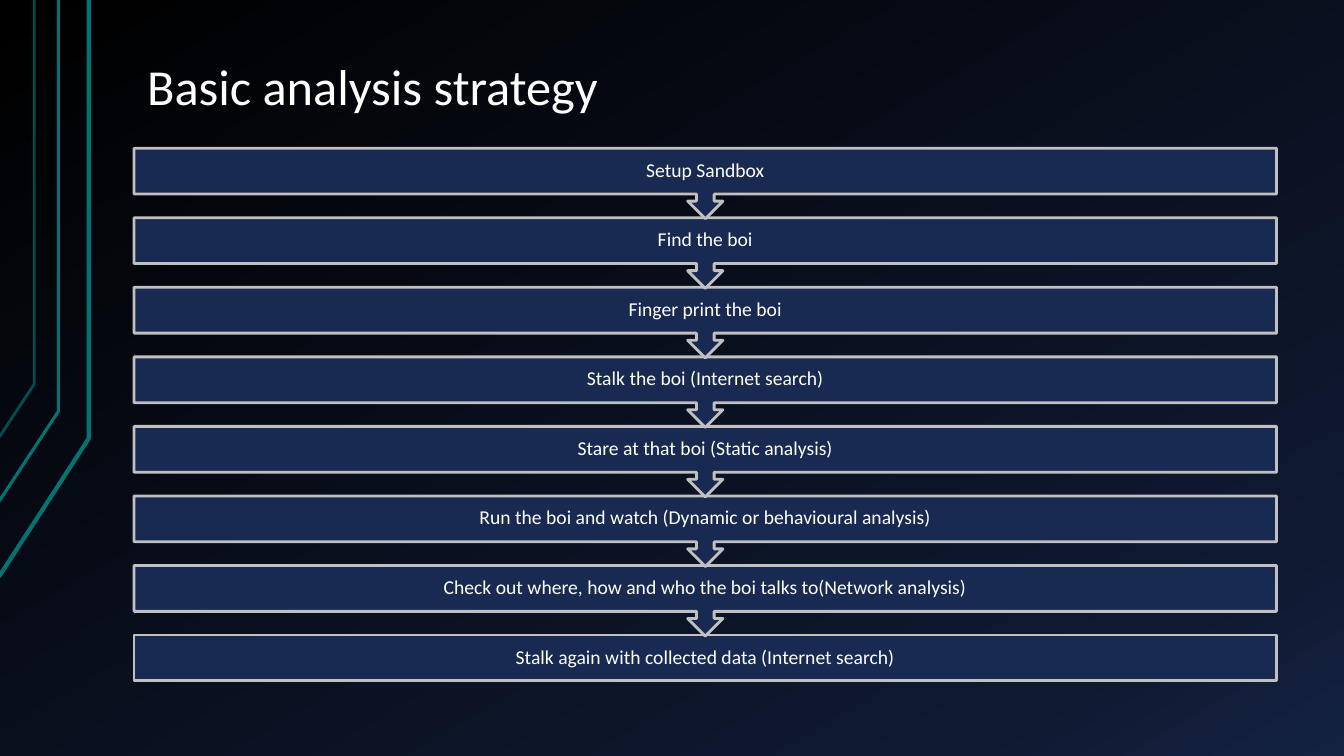
from copy import deepcopy
from dataclasses import dataclass

from lxml.etree import SubElement
from pptx import Presentation
from pptx.dml.color import RGBColor
from pptx.enum.shapes import MSO_SHAPE
from pptx.enum.text import MSO_ANCHOR, PP_ALIGN
from pptx.oxml.ns import qn
from pptx.util import Inches, Pt


@dataclass(frozen=True)
class Theme:
    font: str = "Calibri"
    title_size: int = 36
    step_size: int = 14
    text: str = "FFFFFF"
    step_fill: str = "192A52"
    step_line: str = "C0C0C0"
    accent: str = "007373"
    background: tuple = ((0, "000000"), (0.85, "0F1931"), (1, "142242"))


THEME = Theme()

STEPS = [
    "Setup Sandbox",
    "Find the boi",
    "Finger print the boi",
    "Stalk the boi (Internet search)",
    "Stare at that boi (Static analysis)",
    "Run the boi and watch (Dynamic or behavioural analysis)",
    "Check out where, how and who the boi talks to(Network analysis)",
    "Stalk again with collected data (Internet search)",
]
LEFT, WIDTH = 1.33, 11.33
FIRST_TOP, PITCH = 1.47, 0.69
BAR_HEIGHT, CALLOUT_HEIGHT = 0.45, 0.7

# Points, line width in points, opacity in percent
ACCENT_LINES = [
    ([(-0.01, 5.72), (0.88, 4.35), (0.88, 0)], 3, 100),
    ([(-0.02, 4.99), (0.58, 4.08), (0.58, 0)], 2.25, 100),
    ([(-0.01, 4.34), (0.34, 3.81), (0.34, 0)], 2, 65),
]


def color(value):
    return RGBColor.from_string(value)


def paint_background(page):
    fill = page.background.fill
    fill.gradient()
    fill.gradient_angle = 300
    stop_list = page.element.find(".//" + qn("a:gsLst"))
    stop_list.append(deepcopy(stop_list[-1]))
    for stop, (position, value) in zip(fill.gradient_stops, THEME.background):
        stop.position = position
        stop.color.rgb = color(value)


def add_accent_line(page, points, width, opacity):
    corners = [(Inches(x), Inches(y)) for x, y in points]
    builder = page.shapes.build_freeform(*corners[0])
    builder.add_line_segments(corners[1:], close=False)
    shape = builder.convert_to_shape()
    shape.shadow.inherit = False
    shape.fill.background()
    shape.line.color.rgb = color(THEME.accent)
    shape.line.width = Pt(width)
    if opacity < 100:
        line_color = shape.line._get_or_add_ln().find(".//" + qn("a:srgbClr"))
        SubElement(line_color, qn("a:alpha"), val=str(opacity * 1000))


def add_text(page, text, top, height, size, anchor, align, margins):
    box = page.shapes.add_textbox(
        Inches(LEFT), Inches(top), Inches(WIDTH), Inches(height))
    frame = box.text_frame
    frame.word_wrap = True
    frame.vertical_anchor = anchor
    frame.margin_left = frame.margin_right = Inches(margins[0])
    frame.margin_top = frame.margin_bottom = Inches(margins[1])
    para = frame.paragraphs[0]
    para.text = text
    para.alignment = align
    para.line_spacing = 0.9
    para.font.name = THEME.font
    para.font.size = Pt(size)
    para.font.color.rgb = color(THEME.text)


def add_step(page, text, top, is_last):
    kind = MSO_SHAPE.RECTANGLE if is_last else MSO_SHAPE.UP_ARROW_CALLOUT
    height = BAR_HEIGHT if is_last else CALLOUT_HEIGHT
    shape = page.shapes.add_shape(
        kind, Inches(LEFT), Inches(top), Inches(WIDTH), Inches(height))
    if not is_last:
        shape.rotation = 180
        shape.adjustments[3] = 0.65
    shape.shadow.inherit = False
    shape.fill.solid()
    shape.fill.fore_color.rgb = color(THEME.step_fill)
    shape.line.color.rgb = color(THEME.step_line)
    shape.line.width = Pt(2)
    add_text(page, text, top, BAR_HEIGHT, THEME.step_size,
             MSO_ANCHOR.MIDDLE, PP_ALIGN.CENTER, (0.11, 0.11))


def main():
    deck = Presentation()
    deck.slide_width, deck.slide_height = Inches(13.33), Inches(7.5)
    page = deck.slides.add_slide(deck.slide_layouts[6])

    # Background and accent lines
    paint_background(page)
    for points, width, opacity in ACCENT_LINES:
        add_accent_line(page, points, width, opacity)

    # Title
    add_text(page, "Basic analysis strategy", 0.3, 0.93, THEME.title_size,
             MSO_ANCHOR.BOTTOM, PP_ALIGN.LEFT, (0.13, 0.07))

    # Steps, from the last up, so each arrow lies over the next bar
    last = len(STEPS) - 1
    for index, text in reversed(list(enumerate(STEPS))):
        add_step(page, text, FIRST_TOP + index * PITCH, index == last)

    deck.save("out.pptx")


if __name__ == "__main__":
    main()
